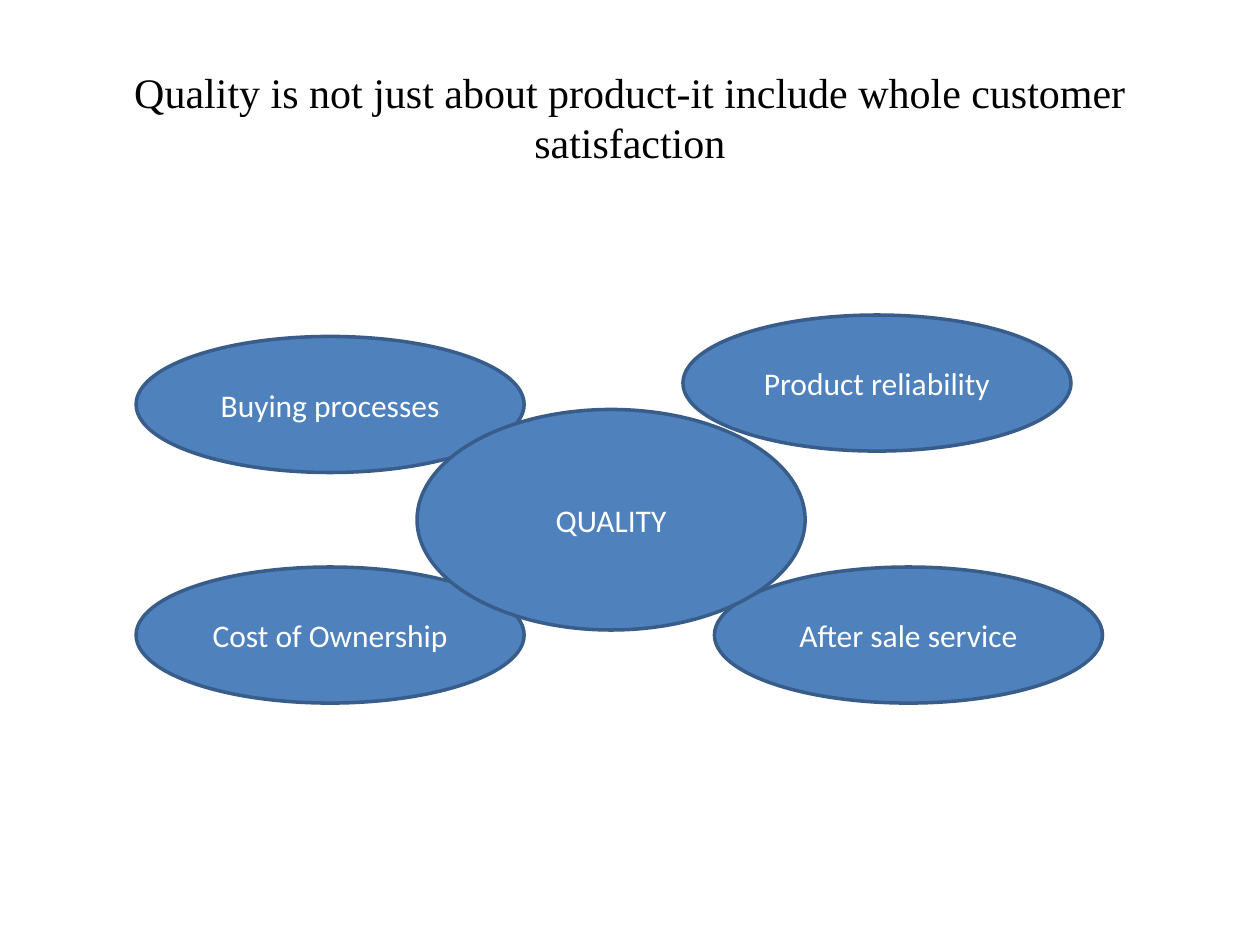
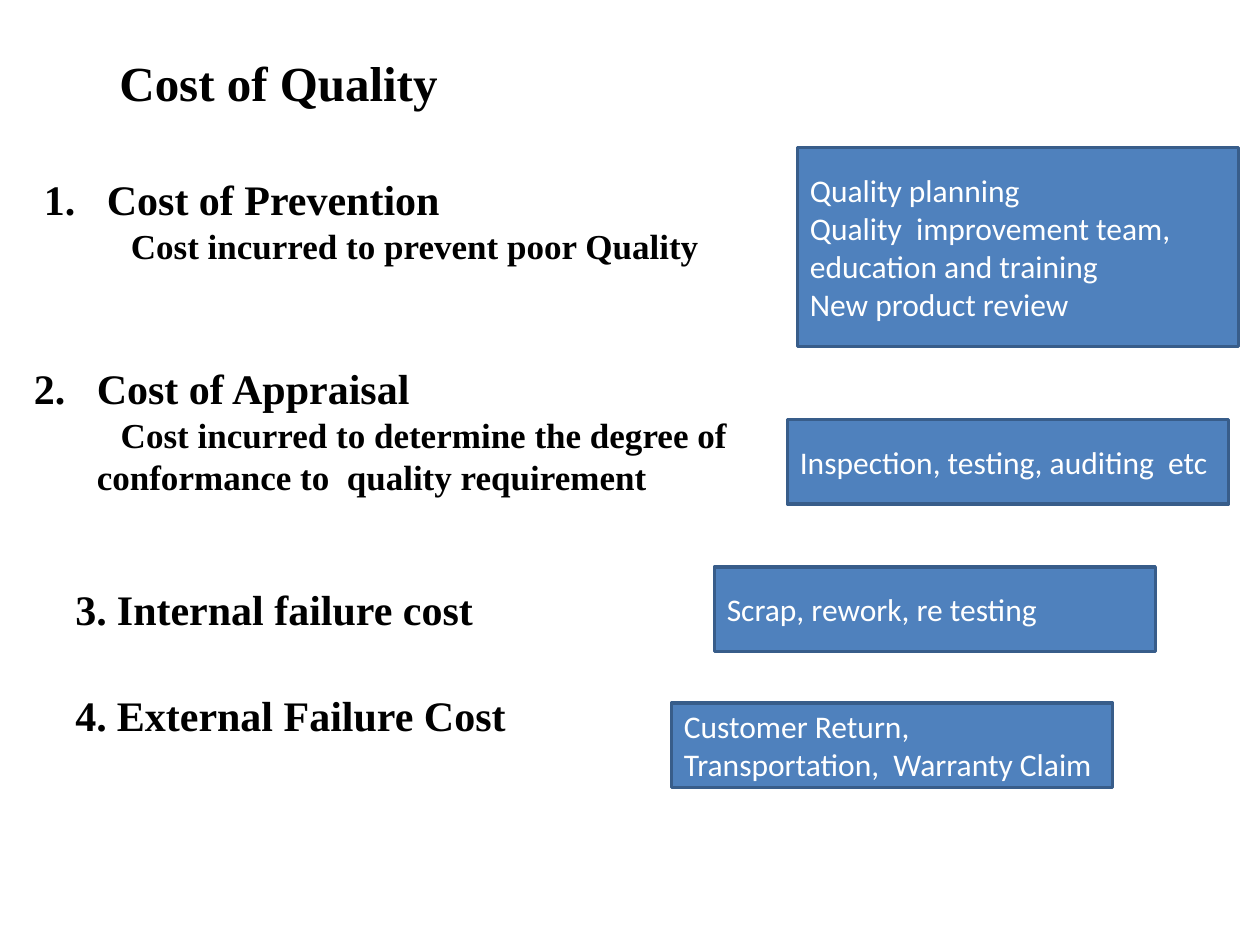
from typing import NamedTuple

from lxml.etree import SubElement
from pptx import Presentation
from pptx.dml.color import RGBColor
from pptx.enum.shapes import MSO_SHAPE as Shape
from pptx.enum.text import MSO_ANCHOR as Anchor, PP_ALIGN as Align
from pptx.oxml.ns import qn
from pptx.util import Inches, Pt

COLORS = {"text": "000000", "light": "FFFFFF", "fill": "4F81BD", "line": "385D8A"}
SERIF = "Times New Roman"
SANS = "Calibri"
ELLIPSE_WIDTH, ELLIPSE_HEIGHT = 3.08, 1.08
PANEL_WIDTH, PANEL_HEIGHT = 3.5, 0.67
SUBTEXT_MARGIN, SUBTEXT_INDENT = 0.5, 0.19


class Area(NamedTuple):
    left: float
    top: float
    width: float
    height: float

    def lengths(self) -> list:
        return [Inches(value) for value in self]


class Tile(NamedTuple):
    lines: list[str]
    area: Area


class Cost(NamedTuple):
    heading: str
    detail: str
    area: Area
    hang: float
    examples: Tile


FACTORS = [
    Tile([label], Area(left, top, ELLIPSE_WIDTH, ELLIPSE_HEIGHT))
    for label, left, top in (
        ("After sale service", 5.67, 4.5),
        ("Product reliability", 5.42, 2.5),
        ("Cost of Ownership", 1.08, 4.5),
        ("Buying processes", 1.08, 2.67),
    )
]
QUALITY = Tile(["QUALITY"], Area(3.31, 3.25, ELLIPSE_WIDTH, 1.75))

COSTS = [
    Cost("Cost of Prevention", "Cost incurred to prevent poor Quality",
         Area(0.25, 1.33, 6.5, 0.84), 0.5,
         Tile(["Quality planning",
               "Quality  improvement team, education and training",
               "New product review"], Area(6.33, 1.17, PANEL_WIDTH, 1.58))),
    Cost("Cost of Appraisal",
         "Cost incurred to determine the degree of conformance to  quality requirement",
         Area(0.17, 2.83, 6.5, 1.17), 0.5,
         Tile(["Inspection, testing, auditing  etc"],
              Area(6.25, 3.33, PANEL_WIDTH, PANEL_HEIGHT))),
    Cost("Internal failure cost", "", Area(0.5, 4.58, 5, 0.5), 0.33,
         Tile(["Scrap, rework, re testing"],
              Area(5.67, 4.5, PANEL_WIDTH, PANEL_HEIGHT))),
    Cost("External Failure Cost", "", Area(0.5, 5.42, 5, 0.5), 0.33,
         Tile(["Customer Return, Transportation,  Warranty Claim"],
              Area(5.33, 5.58, PANEL_WIDTH, PANEL_HEIGHT))),
]


def color(name: str) -> RGBColor:
    return RGBColor.from_string(COLORS[name])


def write(frame, text: str, *, size: float, font: str = SERIF, ink: str = "text",
          bold: bool = False, align=Align.LEFT, margin: float = 0,
          indent: float = 0, number: int = 0) -> None:
    """Add one paragraph to the frame, using its empty first one if there is one."""
    para = frame.paragraphs[0] if not frame.text else frame.add_paragraph()
    para.alignment = align
    properties = para._p.get_or_add_pPr()
    properties.set("marL", str(Inches(margin)))
    properties.set("indent", str(Inches(indent)))
    if number:
        SubElement(properties, qn("a:buAutoNum"), type="arabicPeriod", startAt=str(number))
    span = para.add_run()
    span.text = text
    span.font.name = font
    span.font.size = Pt(size)
    span.font.bold = bold
    span.font.color.rgb = color(ink)


def add_text_frame(page, area: Area, anchor=Anchor.TOP):
    frame = page.shapes.add_textbox(*area.lengths()).text_frame
    frame.word_wrap = True
    frame.vertical_anchor = anchor
    return frame


def add_title(page, text: str, area: Area, size: float, bold: bool = False) -> None:
    frame = add_text_frame(page, area, Anchor.MIDDLE)
    write(frame, text, size=size, bold=bold, align=Align.CENTER)


def add_tile(page, tile: Tile, shape_type, align) -> None:
    box = page.shapes.add_shape(shape_type, *tile.area.lengths())
    box.shadow.inherit = False
    box.fill.solid()
    box.fill.fore_color.rgb = color("fill")
    box.line.color.rgb = color("line")
    box.line.width = Pt(2)
    frame = box.text_frame
    frame.word_wrap = True
    frame.vertical_anchor = Anchor.MIDDLE
    for line in tile.lines:
        write(frame, line, size=18, font=SANS, ink="light", align=align)


def add_cost(page, number: int, cost: Cost) -> None:
    frame = add_text_frame(page, cost.area)
    write(frame, cost.heading, size=24, bold=True, margin=cost.hang,
          indent=-cost.hang, number=number)
    if cost.detail:
        write(frame, cost.detail, size=20, bold=True, margin=SUBTEXT_MARGIN,
              indent=SUBTEXT_INDENT)
    add_tile(page, cost.examples, Shape.RECTANGLE, Align.LEFT)


def build_satisfaction_page(page) -> None:
    add_title(page, "Quality is not just about product-it include whole customer satisfaction",
              Area(0.5, 0.3, 9, 1.25), size=24)
    for tile in [*FACTORS, QUALITY]:
        add_tile(page, tile, Shape.OVAL, Align.CENTER)


def build_cost_page(page) -> None:
    add_title(page, "Cost of Quality", Area(0.5, 0.3, 3.42, 0.7), size=28, bold=True)
    for number, cost in enumerate(COSTS, start=1):
        add_cost(page, number, cost)


def main() -> None:
    deck = Presentation()
    deck.slide_width, deck.slide_height = Inches(10), Inches(7.5)
    for build in (build_satisfaction_page, build_cost_page):
        build(deck.slides.add_slide(deck.slide_layouts[6]))
    deck.save("out.pptx")


if __name__ == "__main__":
    main()
